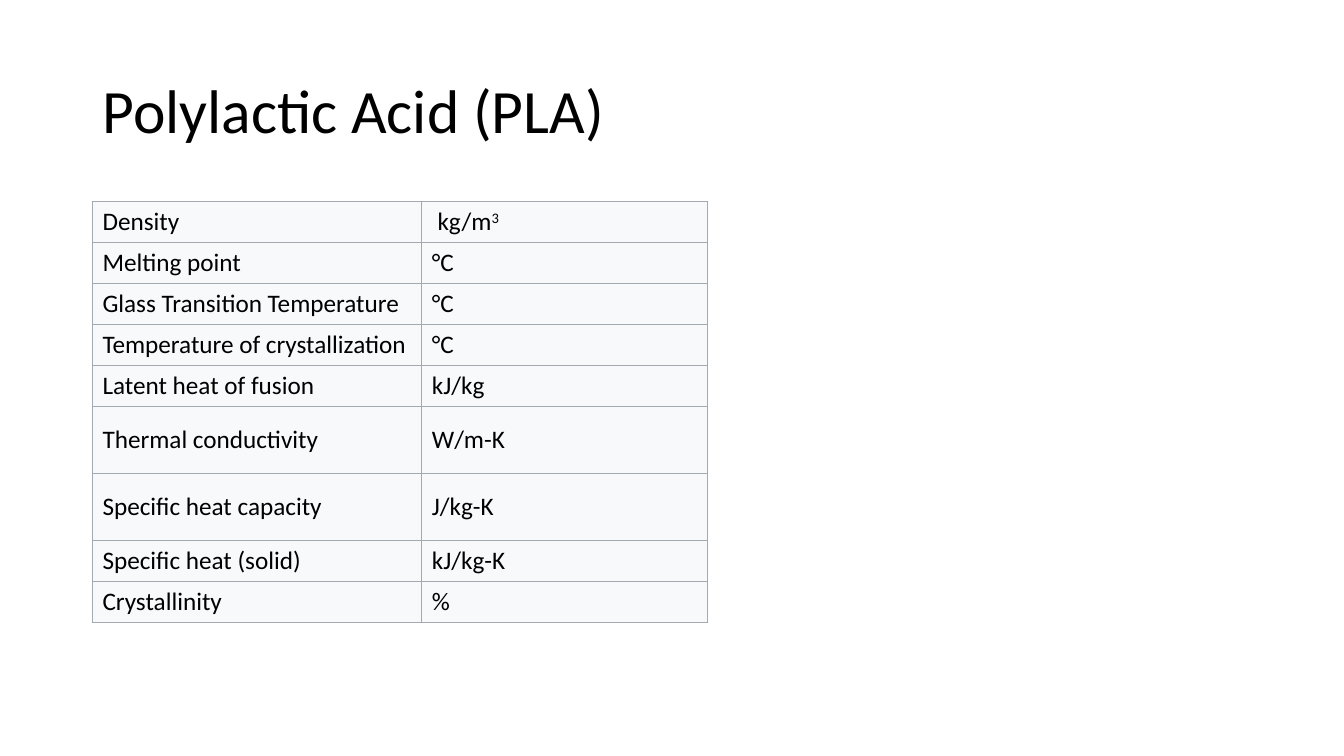
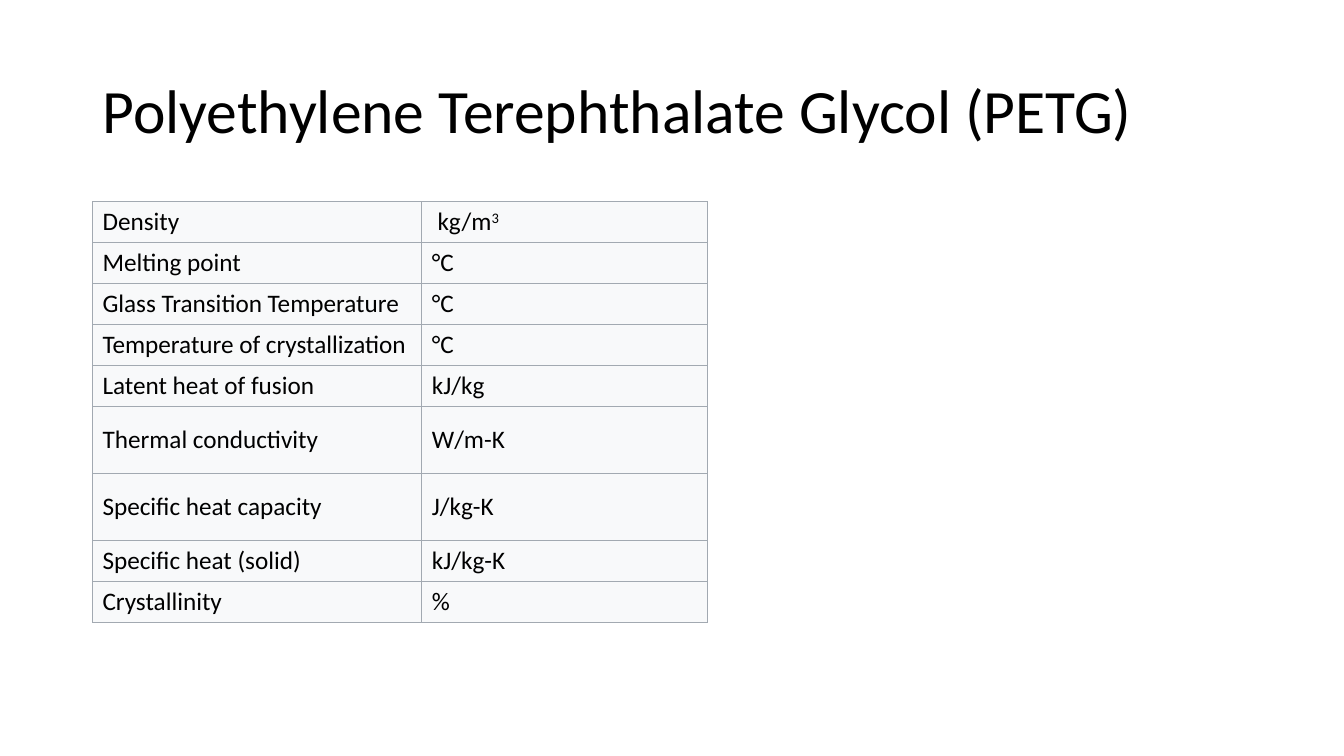
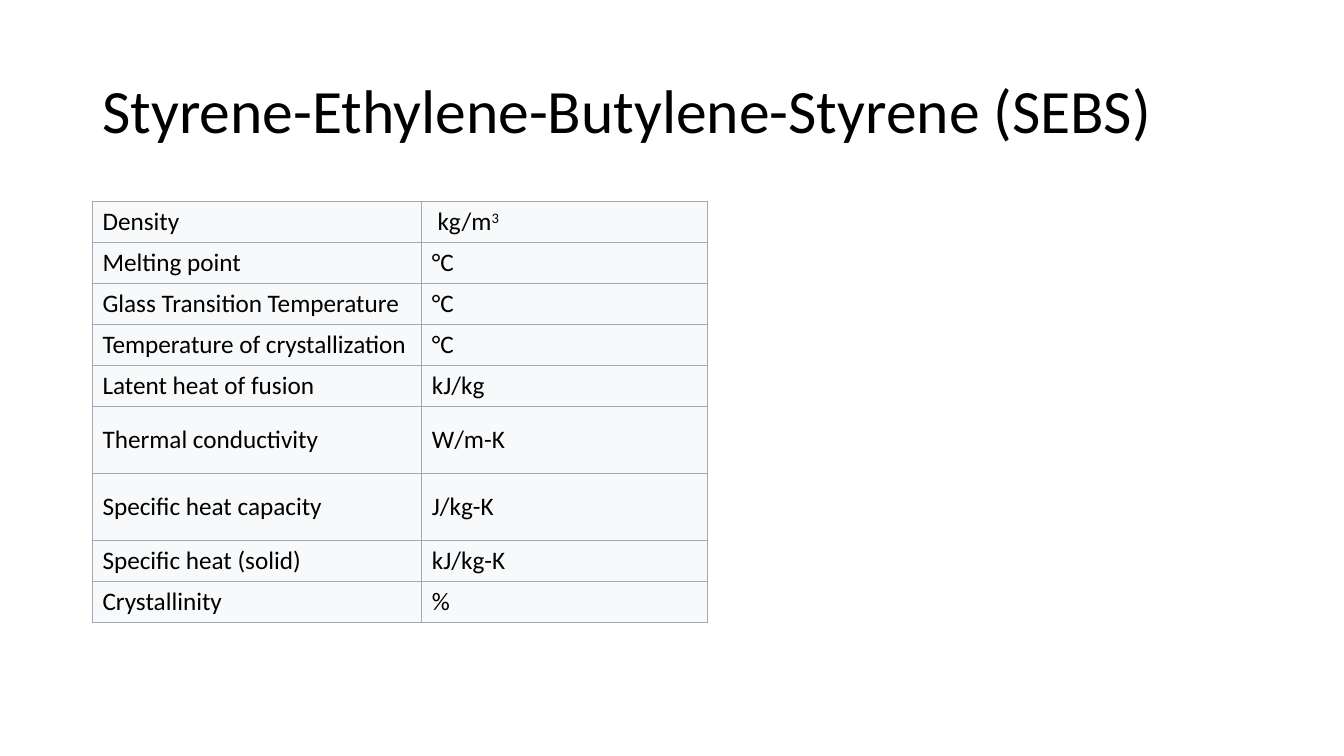
from lxml import etree
from pptx import Presentation
from pptx.dml.color import RGBColor
from pptx.enum.text import MSO_ANCHOR, MSO_AUTO_SIZE, PP_ALIGN
from pptx.oxml.ns import qn
from pptx.util import Cm, Pt

MIDDLE, LEFT, NO_FIT = MSO_ANCHOR.MIDDLE, PP_ALIGN.LEFT, MSO_AUTO_SIZE.NONE

BLACK, PALE, GREY = "000000", "F8F9FA", "A2A9B1"
TITLE_FONT = {"name": "Calibri", "size": Pt(44)}
CELL_FONT = {"name": "Calibri", "size": Pt(18)}
TITLE_BOX = {"left": Cm(2.33), "top": Cm(1.01), "width": Cm(29.21), "height": Cm(3.68)}
COL_WIDTHS = [Cm(8.3), Cm(7.2)]
LOW, TALL = Cm(0.97), Cm(1.7)

MATERIALS = [
    "Polylactic Acid (PLA)",
    "Polyethylene Terephthalate Glycol (PETG)",
    "Styrene-Ethylene-Butylene-Styrene (SEBS)",
]

# Property, unit (a part after ^ is raised), row height
PROPERTIES = [
    ("Density", " kg/m^3", LOW),
    ("Melting point", "°C", LOW),
    ("Glass Transition Temperature", "°C", LOW),
    ("Temperature of crystallization", "°C", LOW),
    ("Latent heat of fusion", "kJ/kg", LOW),
    ("Thermal conductivity", "W/m-K", TALL),
    ("Specific heat capacity", "J/kg-K", TALL),
    ("Specific heat (solid)", "kJ/kg-K", LOW),
    ("Crystallinity", "%", LOW),
]


def rgb(color):
    return RGBColor.from_string(color)


def add_run(p, text, font):
    r = p.add_run()
    r.text = text
    for name, value in font.items():
        setattr(r.font, name, value)
    r.font.color.rgb = rgb(BLACK)
    return r


prs = Presentation()
prs.slide_width, prs.slide_height = Cm(33.87), Cm(19.05)

# Shared title position
layout = prs.slide_layouts.get_by_name("Title Only")
for name, value in TITLE_BOX.items():
    setattr(layout.placeholders[0], name, value)

for material in MATERIALS:
    s = prs.slides.add_slide(layout)

    # Title
    tf = s.shapes.title.text_frame
    tf.word_wrap, tf.auto_size, tf.vertical_anchor = True, NO_FIT, MIDDLE
    p = tf.paragraphs[0]
    p.alignment, p.line_spacing = LEFT, 0.9
    add_run(p, material, TITLE_FONT)

    # Property table
    height = sum(row_height for _, _, row_height in PROPERTIES)
    table = s.shapes.add_table(len(PROPERTIES), len(COL_WIDTHS), Cm(2.33), Cm(5.08),
                               sum(COL_WIDTHS), height).table
    table.first_row = table.horz_banding = False
    for column, width in zip(table.columns, COL_WIDTHS):
        column.width = width

    for row, (label, unit, row_height) in zip(table.rows, PROPERTIES):
        row.height = row_height
        for cell, text in zip(row.cells, (label, unit)):
            # Borders come before the fill in the cell properties
            tcPr = cell._tc.get_or_add_tcPr()
            for side in ("a:lnL", "a:lnR", "a:lnT", "a:lnB"):
                ln = etree.SubElement(tcPr, qn(side), w=str(Pt(0.75)))
                fill = etree.SubElement(ln, qn("a:solidFill"))
                etree.SubElement(fill, qn("a:srgbClr"), val=GREY)
            cell.fill.solid()
            cell.fill.fore_color.rgb = rgb(PALE)
            cell.vertical_anchor = MIDDLE

            p = cell.text_frame.paragraphs[0]
            base, _, raised = text.partition("^")
            add_run(p, base, CELL_FONT)
            if raised:
                r = add_run(p, raised, CELL_FONT)
                r._r.get_or_add_rPr().set("baseline", "30000")

prs.save("out.pptx")
